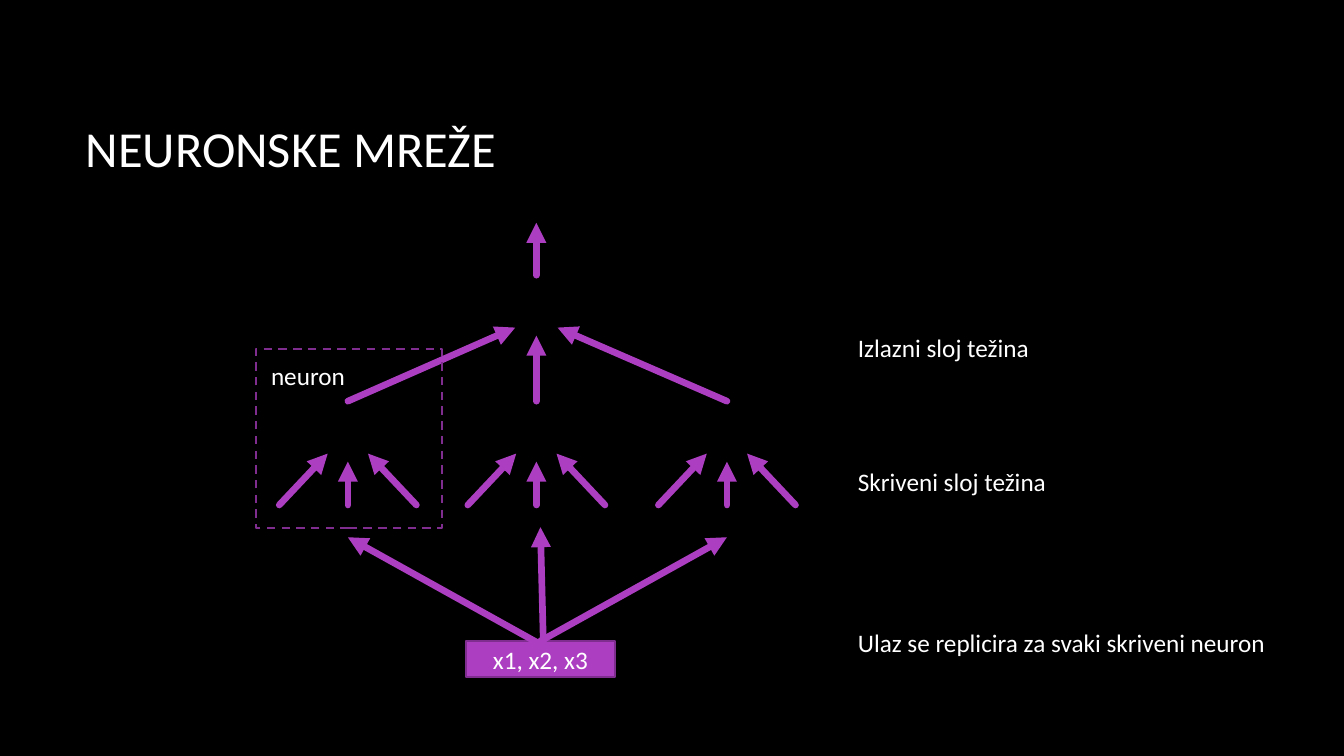
import pptx
import pptx.util
import pptx.dml.color
import pptx.enum.dml
import pptx.enum.shapes
import pptx.enum.text
import pptx.oxml
import pptx.oxml.ns
from pptx.util import Inches

COLORS = {"background": "000000", "text": "FFFFFF", "arrow": "AC3EC1", "outline": "7F2E8F"}
FONT = "Calibri"
NEURON_CENTERS = [3.45, 5.32, 7.21]
OUTPUT_CENTER = NEURON_CENTERS[1]
INPUT_SPREAD = 0.68
WEIGHT_BASE, WEIGHT_TIP = 5.01, 4.5


def color(name):
    return pptx.dml.color.RGBColor.from_string(COLORS[name])


def write_text(frame, text, size=18, align=pptx.enum.text.PP_ALIGN.LEFT,
               anchor=pptx.enum.text.MSO_ANCHOR.TOP, wrap=True):
    frame.word_wrap = wrap
    frame.vertical_anchor = anchor
    frame.text = text
    paragraph = frame.paragraphs[0]
    paragraph.alignment = align
    paragraph.font.size = pptx.util.Pt(size)
    paragraph.font.name = FONT
    paragraph.font.color.rgb = color("text")


def add_title(slide, text):
    title = slide.shapes.title
    title.left, title.top = Inches(0.75), Inches(0.67)
    title.width, title.height = Inches(11.08), Inches(1.59)
    write_text(title.text_frame, text, size=36, anchor=pptx.enum.text.MSO_ANCHOR.MIDDLE)


def add_label(slide, text, left, top, width):
    label = slide.shapes.add_textbox(Inches(left), Inches(top), Inches(width), Inches(0.4))
    write_text(label.text_frame, text, wrap=False)
    label.text_frame.auto_size = pptx.enum.text.MSO_AUTO_SIZE.SHAPE_TO_FIT_TEXT


def add_box(slide, left, top, width, height, fill=None, dash=None):
    box = slide.shapes.add_shape(pptx.enum.shapes.MSO_SHAPE.RECTANGLE, Inches(left),
                                 Inches(top), Inches(width), Inches(height))
    box.shadow.inherit = False
    if fill:
        box.fill.solid()
        box.fill.fore_color.rgb = color(fill)
    else:
        box.fill.background()
    box.line.color.rgb = color("outline")
    box.line.width = pptx.util.Pt(1.5)
    if dash:
        box.line.dash_style = dash
    return box


def add_arrow(slide, start, end):
    arrow = slide.shapes.add_connector(pptx.enum.shapes.MSO_CONNECTOR.STRAIGHT,
                                       *(Inches(value) for value in (*start, *end)))
    arrow.line.color.rgb = color("arrow")
    arrow.line.width = pptx.util.Pt(4.75)
    outline = arrow.line._get_or_add_ln()
    outline.set("cap", "rnd")
    head = pptx.oxml.parse_xml(f'<a:tailEnd {pptx.oxml.ns.nsdecls("a")} type="triangle"/>')
    outline.append(head)
    effects = pptx.oxml.parse_xml(f'<a:effectLst {pptx.oxml.ns.nsdecls("a")}/>')
    arrow._element.spPr.append(effects)
    return arrow


def add_neuron_inputs(slide, center):
    for side in (-1, 1):
        add_arrow(slide, (center + side * INPUT_SPREAD, WEIGHT_BASE),
                  (center + side * 0.2, WEIGHT_TIP))
    add_arrow(slide, (center, WEIGHT_BASE), (center, 4.58))


def main():
    presentation = pptx.Presentation()
    presentation.slide_width, presentation.slide_height = Inches(13.33), Inches(7.5)
    slide = presentation.slides.add_slide(presentation.slide_layouts[5])
    slide.background.fill.solid()
    slide.background.fill.fore_color.rgb = color("background")
    add_title(slide, "NEURONSKE MREŽE")

    output_tips = [(5.11, 3.25), (OUTPUT_CENTER, 3.33), (5.53, 3.25)]
    for center, tip in zip(NEURON_CENTERS, output_tips):
        add_neuron_inputs(slide, center)
        add_arrow(slide, (center, 3.98), tip)
    add_arrow(slide, (OUTPUT_CENTER, 2.73), (OUTPUT_CENTER, 2.21))

    inputs = add_box(slide, 4.62, 6.36, 1.48, 0.36, fill="arrow")
    write_text(inputs.text_frame, "x1, x2, x3", align=pptx.enum.text.PP_ALIGN.CENTER,
               anchor=pptx.enum.text.MSO_ANCHOR.MIDDLE)
    add_arrow(slide, (5.32, 6.37), (3.45, 5.33))
    add_arrow(slide, (5.39, 6.41), (5.36, 5.23))
    right_input = add_arrow(slide, (5.36, 6.36), (7.21, 5.33))
    right_input.begin_connect(inputs, 0)

    for text, top, width in [("Izlazni sloj težina", 3.25, 1.92),
                             ("Skriveni sloj težina", 4.58, 2.09),
                             ("Ulaz se replicira za svaki skriveni neuron", 6.17, 4.28)]:
        add_label(slide, text, 8.41, top, width)

    add_box(slide, 2.54, 3.46, 1.84, 1.78, dash=pptx.enum.dml.MSO_LINE.DASH)
    add_label(slide, "neuron", 2.59, 3.53, 0.94)
    presentation.save("out.pptx")


if __name__ == "__main__":
    main()
